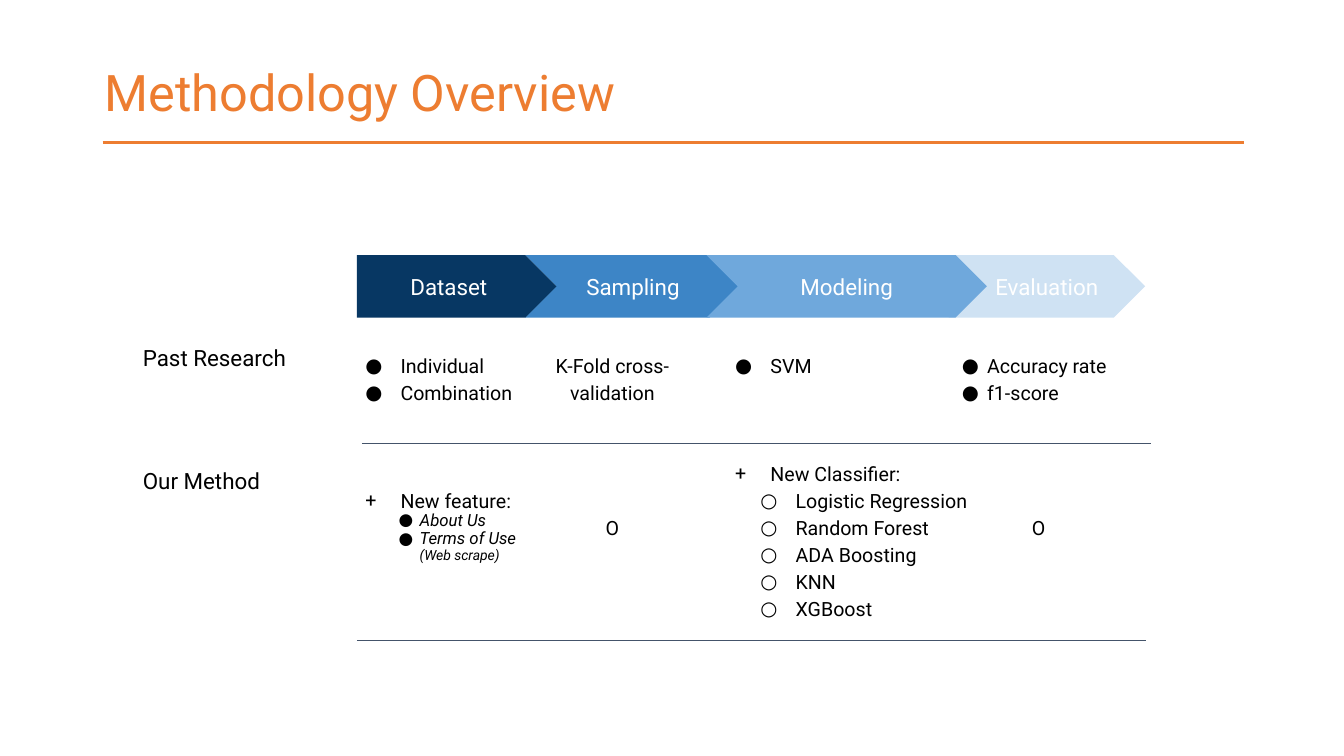
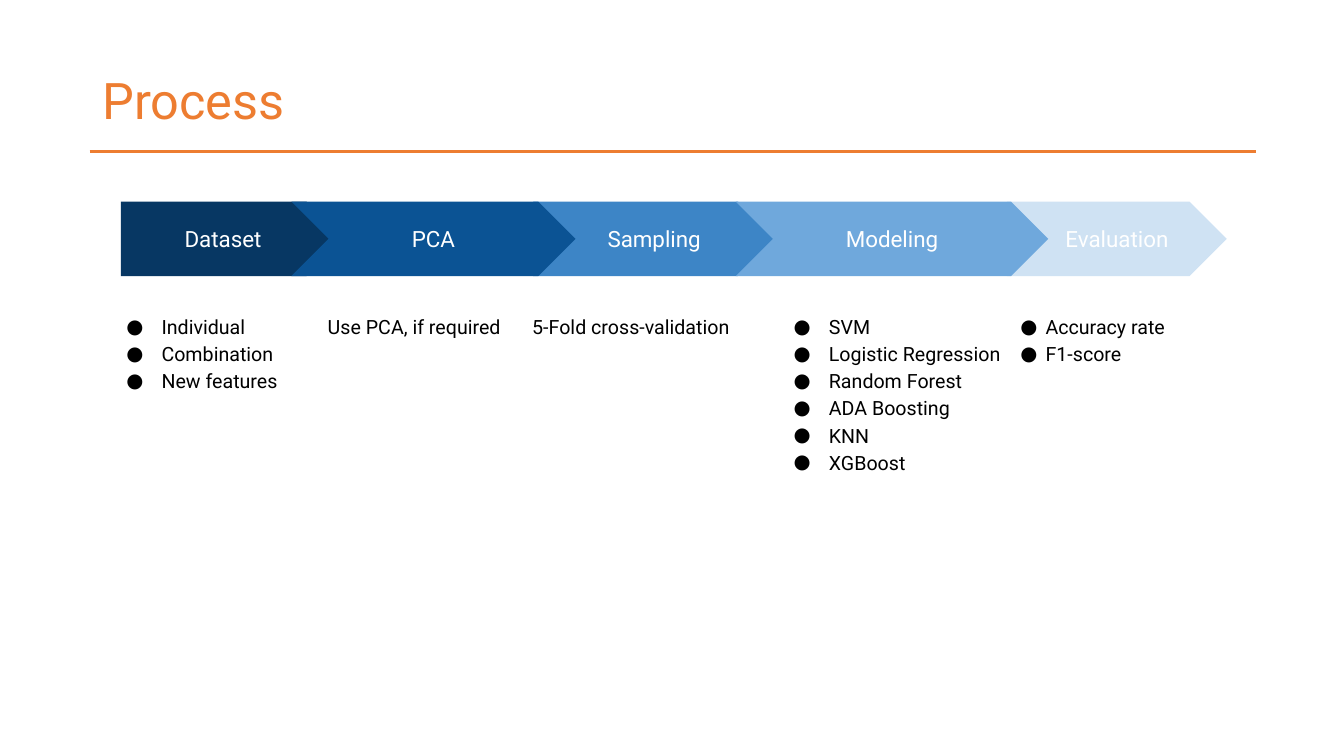
from lxml import etree
from pptx import Presentation
from pptx.dml.color import RGBColor
from pptx.enum.shapes import MSO_CONNECTOR, MSO_SHAPE
from pptx.enum.text import MSO_ANCHOR, PP_ALIGN
from pptx.oxml.ns import qn
from pptx.util import Pt

LINE = MSO_CONNECTOR.STRAIGHT
HOME, CHEVRON = MSO_SHAPE.PENTAGON, MSO_SHAPE.CHEVRON
TOP, MIDDLE = MSO_ANCHOR.TOP, MSO_ANCHOR.MIDDLE
LEFT, CENTER = PP_ALIGN.LEFT, PP_ALIGN.CENTER

ORANGE, SLATE, BLACK, WHITE = "ED7D31", "44546A", "000000", "FFFFFF"
BLUES = {
    "Dataset": "073763",
    "PCA": "0B5394",
    "Sampling": "3D85C6",
    "Modeling": "6FA8DC",
    "Evaluation": "CFE2F3",
}
FONT = "Roboto"
ROW = 19.29
WIDE, SLIM = 9.6, 7.2

KINDS = {
    "dot": ("●", 36, -25.2, 14, False, 1.15),
    "tight": ("●", 18, -20.2, 14, False, 1.15),
    "plus": ("+", 36, -25.2, 14, False, 1.15),
    "ring": ("○", 54, -25.2, 14, False, 1.15),
    "sub": ("●", 49.7, -15.1, 12, True, 0.9),
    "mid": (None, 0, 0, 14, False, 1.15),
}


def color(code):
    return RGBColor.from_string(code)


class Deck:
    def __init__(self):
        self.file = Presentation()
        self.file.slide_width = Pt(960)
        self.file.slide_height = Pt(540)
        self.slide = None

    def page(self, title, left, top, rule):
        self.slide = self.file.slides.add_slide(self.file.slide_layouts[6])
        self.label(title, left, top, 828, 104.4, 36, ORANGE, MIDDLE)
        self.line(*rule, ORANGE, 2.25)

    def line(self, start, end, y, code, weight):
        rule = self.slide.shapes.add_connector(LINE, Pt(start), Pt(y), Pt(end), Pt(y))
        rule.line.color.rgb = color(code)
        rule.line.width = Pt(weight)
        etree.SubElement(rule._element.spPr, qn("a:effectLst"))

    def frame(self, shape, side, edge, anchor):
        frame = shape.text_frame
        frame.word_wrap = True
        frame.margin_left = frame.margin_right = Pt(side)
        frame.margin_top = frame.margin_bottom = Pt(edge)
        frame.vertical_anchor = anchor
        return frame

    def box(self, left, top, width, height, side, edge, anchor=TOP):
        shape = self.slide.shapes.add_textbox(Pt(left), Pt(top), Pt(width), Pt(height))
        return self.frame(shape, side, edge, anchor)

    def run(self, para, text, size, code, italic=False):
        run = para.add_run()
        run.text = text
        font = run.font
        font.name, font.size, font.italic = FONT, Pt(size), italic
        font.color.rgb = color(code)

    def label(self, text, left, top, width, height, size, code, anchor=TOP):
        para = self.box(left, top, width, height, SLIM, SLIM / 2, anchor).paragraphs[0]
        para.line_spacing = 0.9
        self.run(para, text, size, code)

    def arrow(self, name, left, top, width, height):
        kind = HOME if name == "Dataset" else CHEVRON
        shape = self.slide.shapes.add_shape(kind, Pt(left), Pt(top), Pt(width), Pt(height))
        shape.shadow.inherit = False
        shape.fill.solid()
        shape.fill.fore_color.rgb = color(BLUES[name])
        shape.line.fill.background()
        para = self.frame(shape, WIDE, WIDE, MIDDLE).paragraphs[0]
        para.alignment = CENTER
        self.run(para, name, 16, WHITE)

    def bullet(self, para, mark, margin, indent):
        props = para._p.get_or_add_pPr()
        props.set("marL", str(Pt(margin)))
        props.set("indent", str(Pt(indent)))
        tint = etree.SubElement(props, qn("a:buClr"))
        etree.SubElement(tint, qn("a:srgbClr"), val=BLACK)
        etree.SubElement(props, qn("a:buFont"), typeface=FONT)
        etree.SubElement(props, qn("a:buChar"), char=mark)

    def items(self, rows, left, top, width, height):
        frame = self.box(left, top, width, height, WIDE, WIDE)
        for index, (kind, text, gap) in enumerate(rows):
            mark, margin, indent, size, italic, space = KINDS[kind]
            para = frame.add_paragraph() if index else frame.paragraphs[0]
            para.line_spacing = space
            para.space_before = Pt(gap * ROW)
            para.alignment = LEFT if mark else CENTER
            if mark:
                self.bullet(para, mark, margin, indent)
            for step, part in enumerate(text.split("\n")):
                if step:
                    para.add_line_break()
                self.run(para, part, size - 2 * step, BLACK, italic)

    def flow(self, stages, top, height, base, depth):
        for name, left, width, start, span, rows in stages:
            self.arrow(name, left, top, width, height)
            self.items(rows, start, base, span, depth)


def group(kind, *texts, gap=0):
    return [(kind, text, 0 if index else gap) for index, text in enumerate(texts)]


MODELS = ("Logistic Regression", "Random Forest", "ADA Boosting", "KNN", "XGBoost")

METHOD = [
    ("Sampling", 375.1, 154.1, 363.6, 147.6,
     group("mid", "K-Fold cross-validation") + group("mid", "O", gap=4)),
    ("Dataset", 254.9, 142.6, 240.5, 179.3,
     group("dot", "Individual", "Combination") + group("plus", "New feature:", gap=3)
     + group("sub", "About Us", "Terms of Use\n(Web scrape)")),
    ("Evaluation", 677.5, 140.4, 677.5, 128.9,
     group("tight", "Accuracy rate", "f1-score") + group("mid", "O", gap=4)),
    ("Modeling", 504.7, 200.2, 504.7, 200.2,
     group("dot", "SVM") + group("plus", "New Classifier:", gap=3)
     + group("ring", *MODELS)),
]
PROCESS = [
    ("Sampling", 380.9, 172.8, 367.9, 165.6, group("mid", "5-Fold cross-validation")),
    ("Dataset", 86.4, 159.1, 69.8, 159.1,
     group("dot", "Individual", "Combination", "New features")),
    ("PCA", 208.1, 203, 208.1, 175.7, group("mid", "Use PCA, if required")),
    ("Evaluation", 719.3, 157, 719.3, 144, group("tight", "Accuracy rate", "F1-score")),
    ("Modeling", 525.6, 223.2, 546.5, 182.2, group("dot", "SVM", *MODELS)),
]


def main():
    deck = Deck()
    deck.page("Methodology Overview", 67.7, 15.8, (73.4, 888.5, 101.5))
    deck.flow(METHOD, 182.2, 44.6, 240.5, 175.7)
    for text, top in (("Past Research", 244.8), ("Our Method", 332.6)):
        deck.label(text, 95, top, 151.2, 50.4, 16, BLACK)
    for start, y in ((258.5, 316.8), (254.9, 457.2)):
        deck.line(start, start + 563.4, y, SLATE, 0.75)

    deck.page("Process", 66.2, 21.6, (64.1, 897.1, 108))
    deck.flow(PROCESS, 144, 53.3, 213.1, 207.4)
    deck.file.save("out.pptx")


if __name__ == "__main__":
    main()
